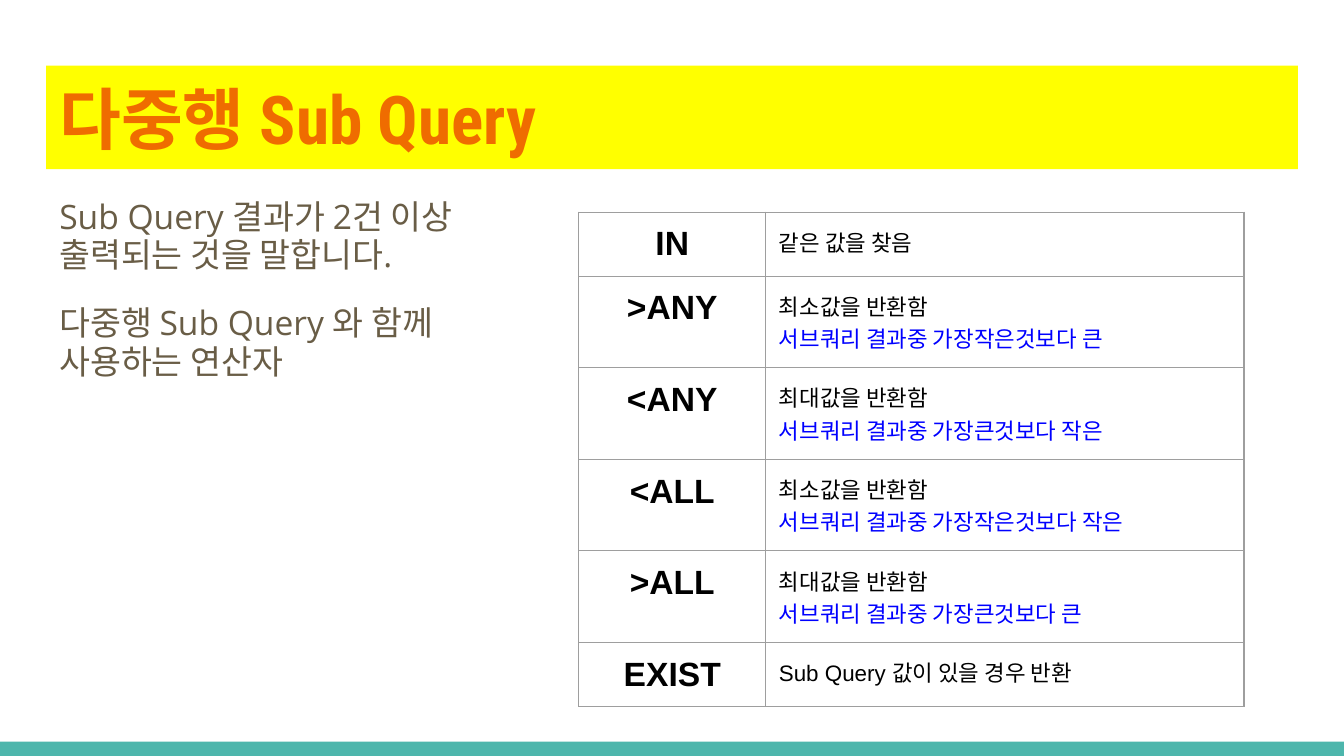
from lxml import etree
from pptx import Presentation
from pptx.dml.color import RGBColor
from pptx.enum.shapes import MSO_SHAPE
from pptx.enum.text import MSO_ANCHOR, MSO_AUTO_SIZE, PP_ALIGN
from pptx.oxml.ns import qn
from pptx.util import Cm, Pt

RECT = MSO_SHAPE.RECTANGLE
TOP, MIDDLE = MSO_ANCHOR.TOP, MSO_ANCHOR.MIDDLE
LEFT, CENTER = PP_ALIGN.LEFT, PP_ALIGN.CENTER
NO_FIT = MSO_AUTO_SIZE.NONE

COLORS = {
    "teal": "4DB6AC",
    "yellow": "FFFF00",
    "orange": "EF6C00",
    "brown": "695D46",
    "black": "000000",
    "blue": "0000FF",
    "grid": "9E9E9E",
}
HEADING, BODY, TABLE = "Roboto Condensed", "Open Sans", "Arial"
INSET = Cm(0.25)


class SlideBuilder:
    def __init__(self, prs):
        self.slide = prs.slides.add_slide(prs.slide_layouts[1])

    def style(self, p, font, size, color, bold=False, align=LEFT):
        p.alignment = align
        p.font.name = font
        p.font.size = Pt(size)
        p.font.bold = bold
        p.font.color.rgb = RGBColor.from_string(COLORS[color])

    def fill(self, sp, color):
        sp.fill.solid()
        sp.fill.fore_color.rgb = RGBColor.from_string(COLORS[color])

    def place(self, sp, x, y, w, h, anchor):
        sp.left, sp.top, sp.width, sp.height = Cm(x), Cm(y), Cm(w), Cm(h)
        tf = sp.text_frame
        tf.word_wrap = True
        tf.auto_size = NO_FIT
        tf.vertical_anchor = anchor
        tf.margin_left = tf.margin_right = INSET
        tf.margin_top = tf.margin_bottom = INSET
        return tf

    def bar(self, x, y, w, h, color):
        sp = self.slide.shapes.add_shape(RECT, Cm(x), Cm(y), Cm(w), Cm(h))
        sp.shadow.inherit = False
        self.fill(sp, color)
        sp.line.fill.background()

    def title(self, text, x, y, w, h):
        sp = self.slide.shapes.title
        self.fill(sp, "yellow")
        tf = self.place(sp, x, y, w, h, MIDDLE)
        tf.text = text
        self.style(tf.paragraphs[0], HEADING, 36, "orange", bold=True)

    def body(self, lines, x, y, w, h):
        tf = self.place(self.slide.placeholders[1], x, y, w, h, TOP)
        tf.text = "\n".join(lines)
        for i, p in enumerate(tf.paragraphs):
            self.style(p, BODY, 18, "brown")
            p.line_spacing = 0.95
            p.space_before = Pt(16 if i else 0)
            pPr = p._p.get_or_add_pPr()
            pPr.set("marL", "0")
            pPr.set("indent", "0")
            # Bullets come after spacing and before the default run style
            bullet = etree.Element(qn("a:buNone"))
            pPr.find(qn("a:defRPr")).addprevious(bullet)

    def borders(self, cell):
        tcPr = cell._tc.get_or_add_tcPr()
        for i, side in enumerate(("lnL", "lnR", "lnT", "lnB")):
            ln = etree.Element(qn(f"a:{side}"), w=str(Pt(0.75)))
            solid = etree.SubElement(ln, qn("a:solidFill"))
            etree.SubElement(solid, qn("a:srgbClr"), val=COLORS["grid"])
            tcPr.insert(i, ln)

    def table(self, rows, x, y, col_widths, base_height, line_height):
        heights = [base_height + line_height * len(lines) for _, lines in rows]
        frame = self.slide.shapes.add_table(
            len(rows), len(col_widths), Cm(x), Cm(y),
            Cm(sum(col_widths)), Cm(sum(heights)))
        tbl = frame.table
        tbl.first_row = tbl.horz_banding = False
        for col, width in zip(tbl.columns, col_widths):
            col.width = Cm(width)
        for r, (operator, lines) in enumerate(rows):
            tbl.rows[r].height = Cm(heights[r])
            for c, text in enumerate((operator, "\n".join(lines))):
                cell = tbl.cell(r, c)
                cell.text = text
                cell.fill.background()
                cell.margin_left = cell.margin_right = INSET
                cell.margin_top = cell.margin_bottom = INSET
                self.borders(cell)
            self.style(tbl.cell(r, 0).text_frame.paragraphs[0],
                       TABLE, 18, "black", bold=True, align=CENTER)
            meaning, *details = tbl.cell(r, 1).text_frame.paragraphs
            self.style(meaning, TABLE, 12, "black")
            for p in details:
                self.style(p, BODY, 12, "blue")


def main():
    prs = Presentation()
    prs.slide_width, prs.slide_height = Cm(25.4), Cm(14.29)
    s = SlideBuilder(prs)

    # Footer bar
    s.bar(0, 14.02, 25.4, 0.27, "teal")

    # Title and explanation
    s.title("다중행 Sub Query", 0.87, 1.24, 23.66, 1.96)
    s.body(["Sub Query 결과가 2건 이상 출력되는 것을 말합니다.",
            "다중행 Sub Query 와 함께 사용하는 연산자"],
           0.87, 3.51, 9.3, 6.3)

    # Operators and their meaning
    operators = [
        ("IN", ["같은 값을 찾음"]),
        (">ANY", ["최소값을 반환함", "서브쿼리 결과중 가장작은것보다 큰"]),
        ("<ANY", ["최대값을 반환함", "서브쿼리 결과중 가장큰것보다 작은"]),
        ("<ALL", ["최소값을 반환함", "서브쿼리 결과중 가장작은것보다 작은"]),
        (">ALL", ["최대값을 반환함", "서브쿼리 결과중 가장큰것보다 큰"]),
        ("EXIST", ["Sub Query 값이 있을 경우 반환"]),
    ]
    s.table(operators, 10.94, 4.01, (3.53, 9.04), 0.69, 0.52)

    prs.save("out.pptx")


if __name__ == "__main__":
    main()
